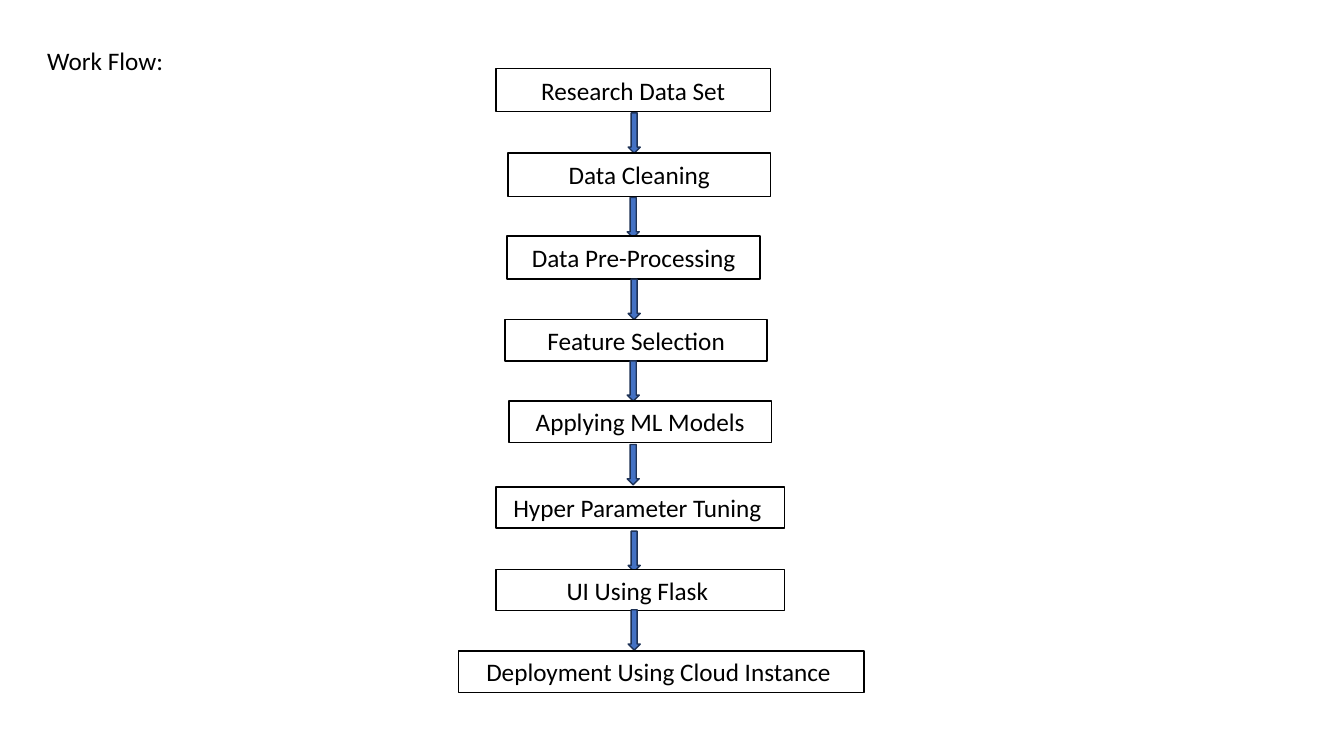
from pptx import Presentation
from pptx.dml.color import RGBColor
from pptx.enum.shapes import MSO_SHAPE
from pptx.enum.text import MSO_ANCHOR, PP_ALIGN
from pptx.util import Inches, Pt

HEADING = "Work Flow:"
# step, box (left, top, width, height), arrow to the next step (left, top)
STEPS = [
    ("Research Data Set", (4.92, 0.68, 2.72, 0.43), (6.23, 1.12)),
    ("Data Cleaning", (5.04, 1.52, 2.6, 0.43), (6.22, 1.96)),
    ("Data Pre-Processing", (5.03, 2.34, 2.51, 0.43), (6.23, 2.77)),
    ("Feature Selection", (5.01, 3.17, 2.6, 0.41), (6.22, 3.58)),
    ("Applying ML Models", (5.05, 3.98, 2.6, 0.41), (6.22, 4.41)),
    ("Hyper Parameter Tuning ", (4.92, 4.83, 2.86, 0.41), (6.23, 5.27)),
    ("UI Using Flask ", (4.92, 5.65, 2.86, 0.41), (6.23, 6.05)),
    ("Deployment Using Cloud Instance ", (4.55, 6.46, 4.02, 0.41), None),
]
ARROW_SIZE = (0.12, 0.4)
COLORS = {
    "text": "000000",
    "box": "FFFFFF",
    "box_line": "000000",
    "arrow": "4472C4",
    "arrow_line": "1E3256",
}


def color(name):
    return RGBColor.from_string(COLORS[name])


def write(frame, text):
    paragraph = frame.paragraphs[0]
    paragraph.text = text
    paragraph.font.name = "Calibri"
    paragraph.font.size = Pt(18)
    paragraph.font.color.rgb = color("text")
    return paragraph


def add_block(slide, preset, bounds, role):
    """Add a shape whose fill and line colours belong to the given role."""
    block = slide.shapes.add_shape(preset, *map(Inches, bounds))
    block.shadow.inherit = False
    block.fill.solid()
    block.fill.fore_color.rgb = color(role)
    block.line.color.rgb = color(role + "_line")
    block.line.width = Pt(1)
    return block


def main():
    prs = Presentation()
    prs.slide_width, prs.slide_height = Inches(13.33), Inches(7.5)
    slide = prs.slides.add_slide(prs.slide_layouts[6])

    heading = slide.shapes.add_textbox(*map(Inches, (0.37, 0.4, 3.49, 0.4)))
    heading.text_frame.word_wrap = True
    write(heading.text_frame, HEADING)

    for step, bounds, arrow_start in STEPS:
        box = add_block(slide, MSO_SHAPE.RECTANGLE, bounds, "box")
        box.text_frame.word_wrap = True
        box.text_frame.vertical_anchor = MSO_ANCHOR.MIDDLE
        write(box.text_frame, step).alignment = PP_ALIGN.CENTER
        if arrow_start:
            add_block(slide, MSO_SHAPE.DOWN_ARROW, arrow_start + ARROW_SIZE, "arrow")

    prs.save("out.pptx")


if __name__ == "__main__":
    main()
